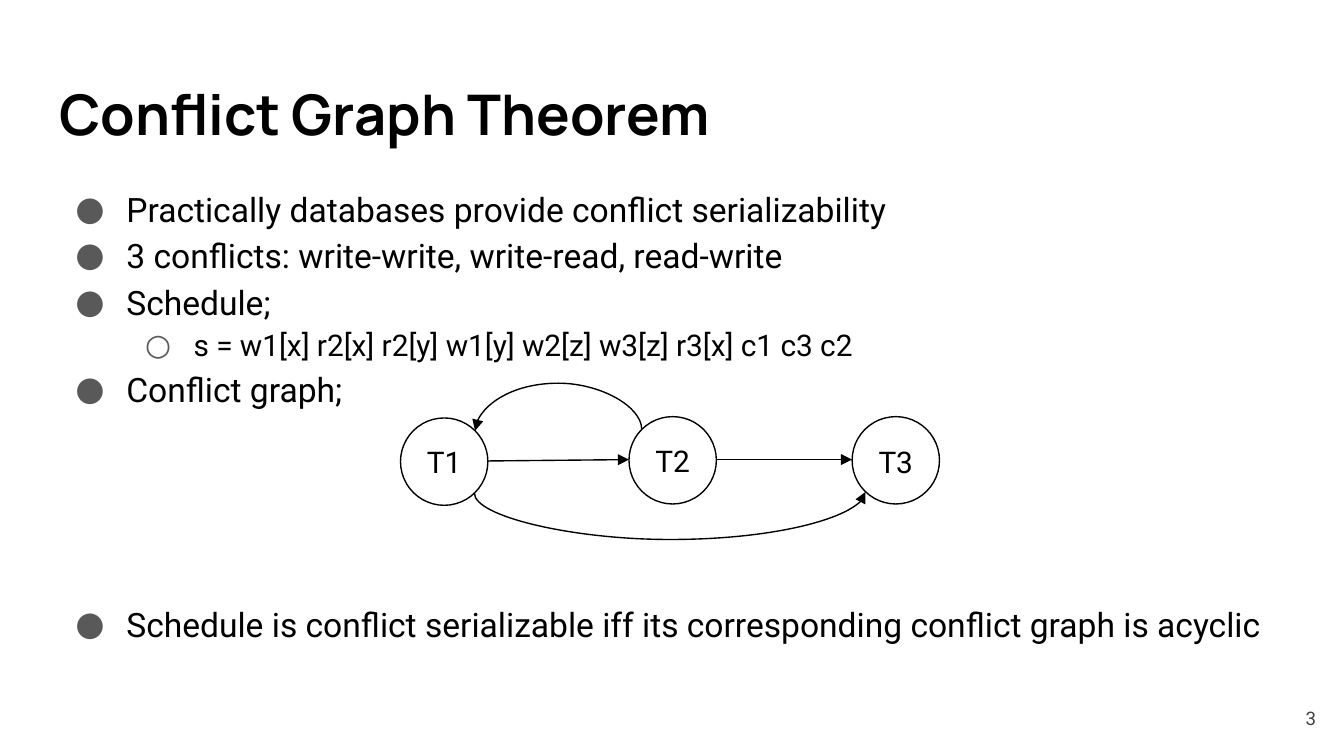
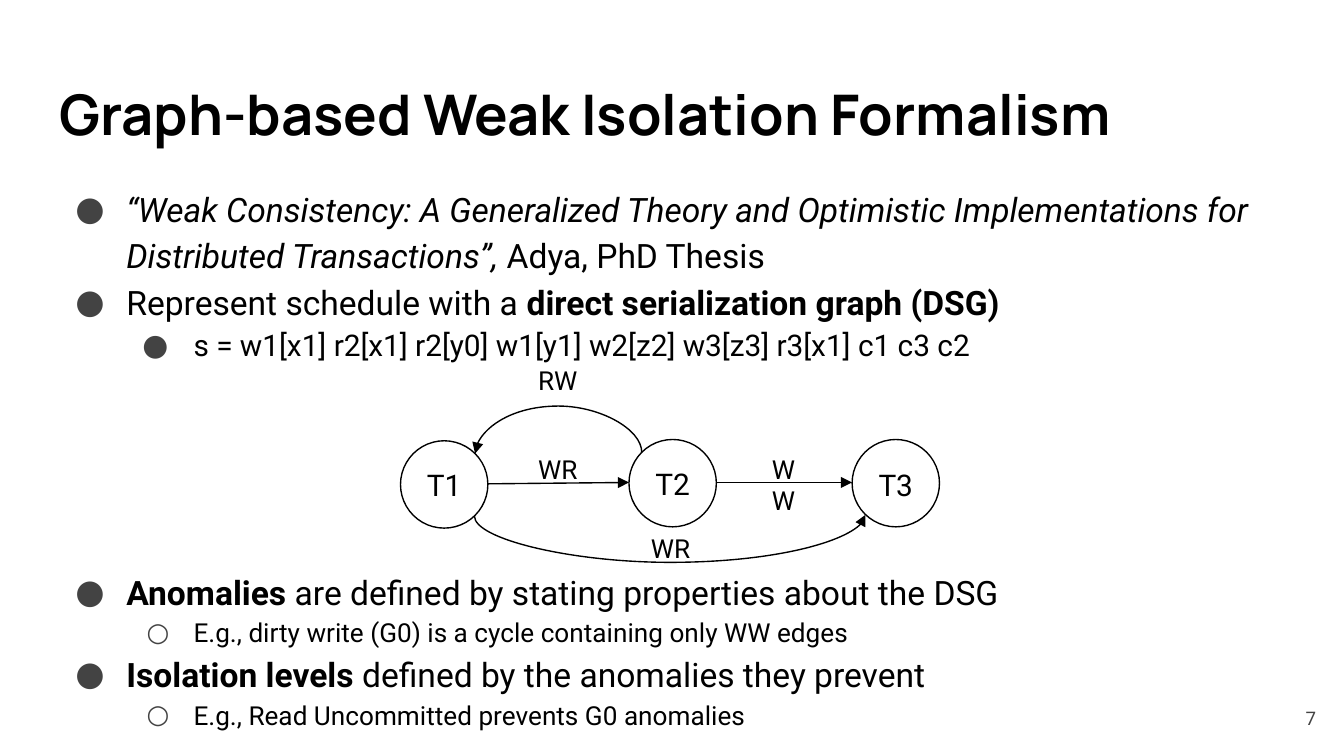
import lxml.etree
import pptx
import pptx.dml.color
import pptx.enum.shapes
import pptx.enum.text
import pptx.oxml.ns
import pptx.util

EMU_PER_PX = 9144  # 100 px to the inch
COLORS = {"ink": "000000", "number": "434343",
          "light bullet": "595959", "dark bullet": "434343"}
TITLE_FONT, TEXT_FONT = "Manrope", "Roboto"
ALIGN = pptx.enum.text.PP_ALIGN
ANCHOR = pptx.enum.text.MSO_ANCHOR
FIT = pptx.enum.text.MSO_AUTO_SIZE
CONNECTOR = pptx.enum.shapes.MSO_CONNECTOR
OVAL = pptx.enum.shapes.MSO_SHAPE.OVAL

LEFT, WIDTH = 34, 932
NODE_SIZE = 65
NODE_X = (298, 468, 634)
HANG = {18: 38, 16: 36, 14: 35}  # bullet indent by text size


def px(length):
    return pptx.util.Emu(length * EMU_PER_PX)


def rgb(name):
    return pptx.dml.color.RGBColor.from_string(COLORS[name])


def sub(parent, tag, **attributes):
    """Append a DrawingML child element."""
    child = lxml.etree.SubElement(parent, pptx.oxml.ns.qn(tag))
    for name, value in attributes.items():
        child.set(name, str(value))
    return child


def write(para, text, size=18, font=TEXT_FONT, color="ink", bold=False,
          italic=False, align=ALIGN.LEFT):
    para.alignment = align
    span = para.add_run()
    span.text = text
    span.font.size = pptx.util.Pt(size)
    span.font.name = font
    span.font.color.rgb = rgb(color)
    span.font.bold = bold
    span.font.italic = italic


def set_frame(box, anchor=ANCHOR.TOP, fit=FIT.NONE):
    """Give the box's text frame its insets and return it."""
    frame = box.text_frame
    frame.word_wrap = True
    frame.auto_size = fit
    frame.vertical_anchor = anchor
    frame.margin_left = frame.margin_right = px(10)
    frame.margin_top = frame.margin_bottom = px(10)
    return frame


def place(box, left, top, width, height):
    box.left, box.top, box.width, box.height = map(
        px, (left, top, width, height))


def add_label(page, text, left, top, width, height, anchor=ANCHOR.TOP,
              fit=FIT.NONE, **style):
    box = page.shapes.add_textbox(*map(px, (left, top, width, height)))
    write(set_frame(box, anchor, fit).paragraphs[0], text, **style)


def add_page(deck, title, number):
    page = deck.slides.add_slide(deck.slide_layouts.get_by_name("Two Content"))
    place(page.shapes.title, LEFT, 49, WIDTH, 68)
    write(set_frame(page.shapes.title).paragraphs[0], title, size=30,
          font=TITLE_FONT, bold=True)
    add_label(page, number, 929, 513, 60, 43, anchor=ANCHOR.MIDDLE,
              size=10, color="number", align=ALIGN.RIGHT)
    return page


def item(*spans, level=0, size=18, bullet=None, hang=None):
    """Describe a list item; a span is a text or a (text, format) pair."""
    return {"spans": spans, "level": level, "size": size,
            "bullet": bullet or "●○"[level], "hang": hang or HANG[size]}


def fill_list(page, index, top, height, bullet_color, items):
    box = page.placeholders[index]
    place(box, LEFT, top, WIDTH, height)
    frame = set_frame(box)
    for position, entry in enumerate(items):
        para = frame.add_paragraph() if position else frame.paragraphs[0]
        para.level = entry["level"]
        para.line_spacing = 1.15
        para.space_before = para.space_after = pptx.util.Pt(0)
        for span in entry["spans"]:
            text, style = (span, {}) if isinstance(span, str) else span
            write(para, text, size=entry["size"], **style)
        props = para._p.get_or_add_pPr()
        props.set("marL", str(px(50 * (entry["level"] + 1))))
        props.set("indent", str(-px(entry["hang"])))
        sub(sub(props, "a:buClr"), "a:srgbClr", val=COLORS[bullet_color])
        sub(props, "a:buFont", typeface=TEXT_FONT)
        sub(props, "a:buChar", char=entry["bullet"])


def add_node(page, name, left, top):
    node = page.shapes.add_shape(
        OVAL, *map(px, (left, top, NODE_SIZE, NODE_SIZE)))
    node.shadow.inherit = False
    node.fill.background()
    node.line.color.rgb = rgb("ink")
    node.line.width = pptx.util.Pt(0.75)
    para = set_frame(node, ANCHOR.MIDDLE).paragraphs[0]
    write(para, name, size=16, align=ALIGN.CENTER)
    return para


def add_edge(page, start, end, kind=CONNECTOR.STRAIGHT, arrow="a:tailEnd"):
    edge = page.shapes.add_connector(kind, *map(px, (*start, *end)))
    edge.line.color.rgb = rgb("ink")
    edge.line.width = pptx.util.Pt(0.75)
    sub(edge.line._get_or_add_ln(), arrow, type="triangle")
    sub(edge._element.spPr, "a:effectLst")
    return edge


def add_arc(page, left, right, y, rise, arrow):
    """Curve from left to right at y, rising (or sinking, if negative)."""
    span = right - left
    x, top = left + span // 2, y - span // 2
    # A curve one px wide and span px high, turned a quarter to the left
    arc = add_edge(page, (x, top), (x + 1, top + span), CONNECTOR.CURVE, arrow)
    props = arc._element.spPr
    props.find(pptx.oxml.ns.qn("a:xfrm")).set("rot", "16200000")
    geometry = props.find(pptx.oxml.ns.qn("a:prstGeom"))
    guides = geometry.find(pptx.oxml.ns.qn("a:avLst"))
    if guides is None:
        guides = sub(geometry, "a:avLst")
    sub(guides, "a:gd", name="adj1", fmla=f"val {rise * 100000}")


def add_graph(page, top):
    """Draw the three transactions and the edges between them."""
    first, second, third = NODE_X
    middle = top + 32
    add_node(page, "T1", first, top + 1)
    add_node(page, "T2", second, top)
    write(add_node(page, "T3", third, top), " ", align=ALIGN.CENTER)
    add_edge(page, (first + NODE_SIZE, middle + 1), (second, middle))
    add_edge(page, (second + NODE_SIZE, middle), (third, middle))
    add_arc(page, first + 55, second + 9, top + 10, 36, "a:headEnd")
    add_arc(page, first + 55, third + 10, top + 56, -35, "a:tailEnd")


def add_conflict_page(deck):
    page = add_page(deck, "Conflict Graph Theorem", "3")
    fill_list(page, 1, 126, 155, "light bullet", [
        item("Practically databases provide conflict serializability"),
        item("3 conflicts: write-write, write-read, read-write"),
        item("Schedule;"),
        item("s = w1[x] r2[x] r2[y] w1[y] w2[z] w3[z] r3[x] c1 c3 c2",
             level=1, size=16),
        item("Conflict graph;"),
    ])
    add_graph(page, 310)
    fill_list(page, 2, 435, 105, "light bullet", [
        item("Schedule is conflict serializable iff its corresponding "
             "conflict graph is acyclic"),
    ])


def add_isolation_page(deck):
    bold, italic = {"bold": True}, {"italic": True}
    page = add_page(deck, "Graph-based Weak Isolation Formalism", "7")
    fill_list(page, 1, 126, 148, "dark bullet", [
        item(("“Weak Consistency: A Generalized Theory and Optimistic "
              "Implementations for Distributed Transactions”, ", italic),
             "Adya, PhD Thesis"),
        item("Represent schedule with a ",
             ("direct serialization graph (DSG)", bold)),
        item("s = w1[x1] r2[x1] r2[y0] w1[y1] w2[z2] w3[z3] r3[x1] c1 c3 c2",
             level=1, size=16, bullet="●", hang=38),
    ])
    add_graph(page, 327)
    for text, left, top in (("RW", 389, 261), ("WR", 389, 327),
                            ("WW", 557, 327), ("WR", 473, 386)):
        add_label(page, text, left, top, 52, 44, fit=FIT.SHAPE_TO_FIT_TEXT,
                  size=14, align=ALIGN.CENTER)
    fill_list(page, 2, 411, 144, "dark bullet", [
        item(("Anomalies", bold),
             " are defined by stating properties about the DSG"),
        item("E.g., dirty write (G0) is a cycle containing only WW edges",
             level=1, size=14),
        item(("Isolation levels ", bold),
             "defined by the anomalies they prevent"),
        item("E.g., Read Uncommitted prevents G0 anomalies",
             level=1, size=14),
    ])


def main():
    deck = pptx.Presentation()
    deck.slide_width = px(1000)
    deck.slide_height = px(1000) * 9 // 16
    add_conflict_page(deck)
    add_isolation_page(deck)
    deck.save("out.pptx")


if __name__ == "__main__":
    main()
